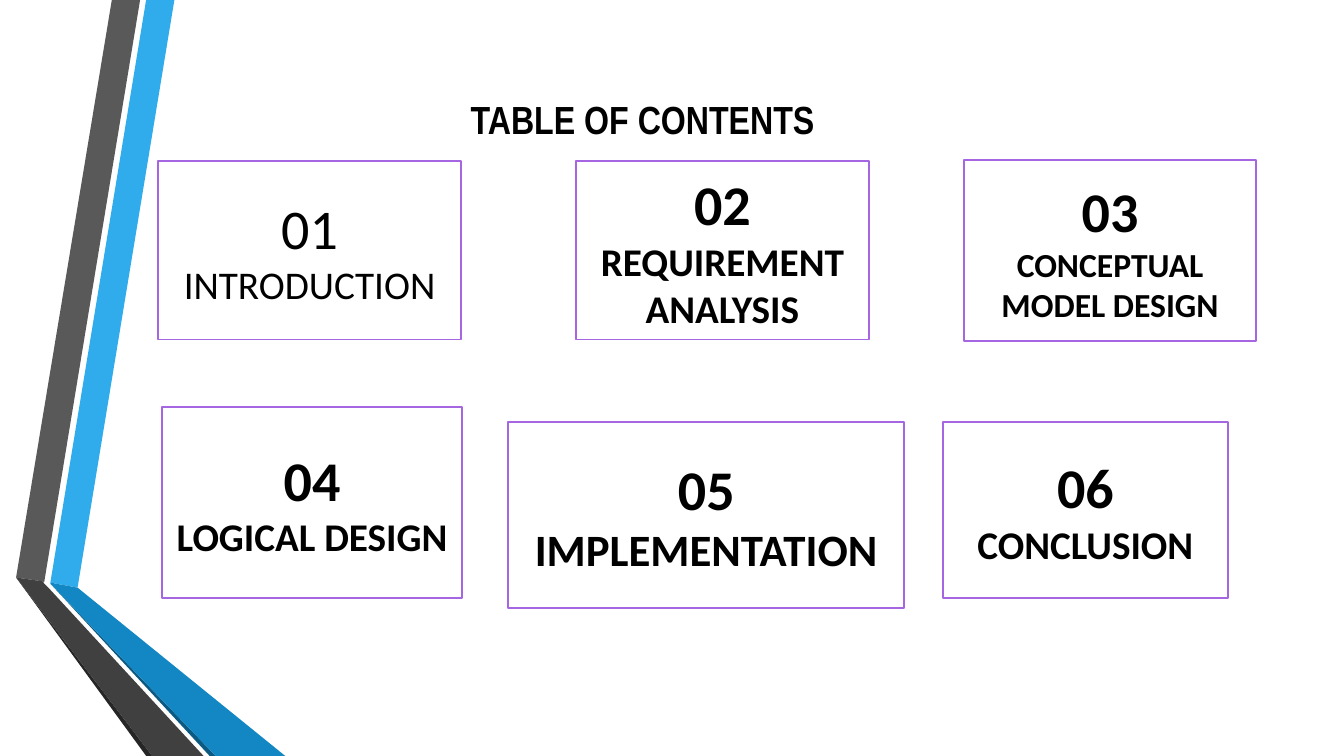
from dataclasses import dataclass

from pptx import Presentation
from pptx.dml.color import RGBColor
from pptx.enum.shapes import MSO_SHAPE
from pptx.enum.text import MSO_ANCHOR, MSO_AUTO_SIZE, PP_ALIGN
from pptx.util import Inches, Pt

RECT = MSO_SHAPE.RECTANGLE
MIDDLE = MSO_ANCHOR.MIDDLE
GROW = MSO_AUTO_SIZE.SHAPE_TO_FIT_TEXT
CENTER = PP_ALIGN.CENTER


@dataclass(frozen=True)
class Theme:
    ink: str = "000000"
    paper: str = "FFFFFF"
    edge: str = "A666E1"
    blue: str = "30ACEC"
    mid_blue: str = "1287C3"
    deep_blue: str = "0C5A82"
    gray: str = "595959"
    dark_gray: str = "404040"
    deep_gray: str = "262626"
    head_font: str = "Arial Narrow"
    body_font: str = "Calibri"
    head: int = 28
    number: int = 40
    label: int = 28
    small: int = 24
    large: int = 32
    border: float = 1.25


class Deck:
    def __init__(self, theme):
        self.theme = theme
        self.show = Presentation()
        self.show.slide_width = Inches(13.33)
        self.show.slide_height = Inches(7.5)
        self.slide = self.show.slides.add_slide(self.show.slide_layouts[6])

    def paint(self, shape, color):
        shape.shadow.inherit = False
        shape.fill.solid()
        shape.fill.fore_color.rgb = RGBColor.from_string(color)

    def add_text(self, para, text, font, size, bold):
        run = para.add_run()
        run.text = text
        run.font.name = font
        run.font.size = Pt(size)
        run.font.bold = bold
        run.font.color.rgb = RGBColor.from_string(self.theme.ink)

    def band(self, color, points):
        """Draw a closed outline through points given in inches."""
        first, *rest = [(x * 100, y * 100) for x, y in points]
        maker = self.slide.shapes.build_freeform(*first, scale=Inches(0.01))
        maker.add_line_segments(rest, close=True)
        shape = maker.convert_to_shape()
        self.paint(shape, color)
        shape.line.fill.background()

    def title(self, text, box):
        frame = self.slide.shapes.add_textbox(*map(Inches, box)).text_frame
        frame.word_wrap = True
        frame.auto_size = GROW
        self.add_text(frame.paragraphs[0], text, self.theme.head_font,
                      self.theme.head, True)

    def card(self, number, label, size, bold, box):
        theme = self.theme
        shape = self.slide.shapes.add_shape(RECT, *map(Inches, box))
        self.paint(shape, theme.paper)
        shape.line.color.rgb = RGBColor.from_string(theme.edge)
        shape.line.width = Pt(theme.border)
        frame = shape.text_frame
        frame.word_wrap = True
        frame.vertical_anchor = MIDDLE
        top, low = frame.paragraphs[0], frame.add_paragraph()
        for para, text, points in ((top, number, theme.number), (low, label, size)):
            para.alignment = CENTER
            self.add_text(para, text, theme.body_font, points, bold)


def main():
    theme = Theme()
    deck = Deck(theme)

    bands = [
        (theme.blue, [(0.5, 5.78), (0.77, 5.83), (1.73, 0), (1.45, 0)]),
        (theme.gray, [(1.39, 0), (1.11, 0), (0.16, 5.73), (0.44, 5.77)]),
        (theme.deep_gray, [(0.16, 5.73), (1.45, 7.5), (1.51, 7.5)]),
        (theme.deep_blue, [(0.5, 5.79), (2.08, 7.5), (2.14, 7.5)]),
        (theme.mid_blue, [(0.5, 5.79), (2.14, 7.5), (2.83, 7.5),
                          (0.77, 5.83), (0.5, 5.78)]),
        (theme.dark_gray, [(2.02, 7.5), (0.48, 5.83), (0.43, 5.78),
                           (0.44, 5.77), (0.16, 5.73), (1.51, 7.5)]),
    ]
    for color, points in bands:
        deck.band(color, points)

    deck.title("TABLE OF CONTENTS", (4.57, 0.9, 3.86, 0.57))

    cards = [
        ("01", "INTRODUCTION", theme.label, False, (1.57, 1.6, 3, 1.77)),
        ("02", "REQUIREMENT ANALYSIS", theme.label, True, (5.71, 1.6, 2.91, 1.77)),
        ("03", "CONCEPTUAL MODEL DESIGN", theme.small, True, (9.56, 1.59, 2.9, 1.79)),
        ("04", "LOGICAL DESIGN", theme.label, True, (1.61, 4.04, 2.97, 1.89)),
        ("05", "IMPLEMENTATION", theme.large, True, (5.04, 4.19, 3.93, 1.84)),
        ("06", "CONCLUSION", theme.label, True, (9.35, 4.19, 2.83, 1.74)),
    ]
    for card in cards:
        deck.card(*card)

    deck.show.save("out.pptx")


if __name__ == "__main__":
    main()
